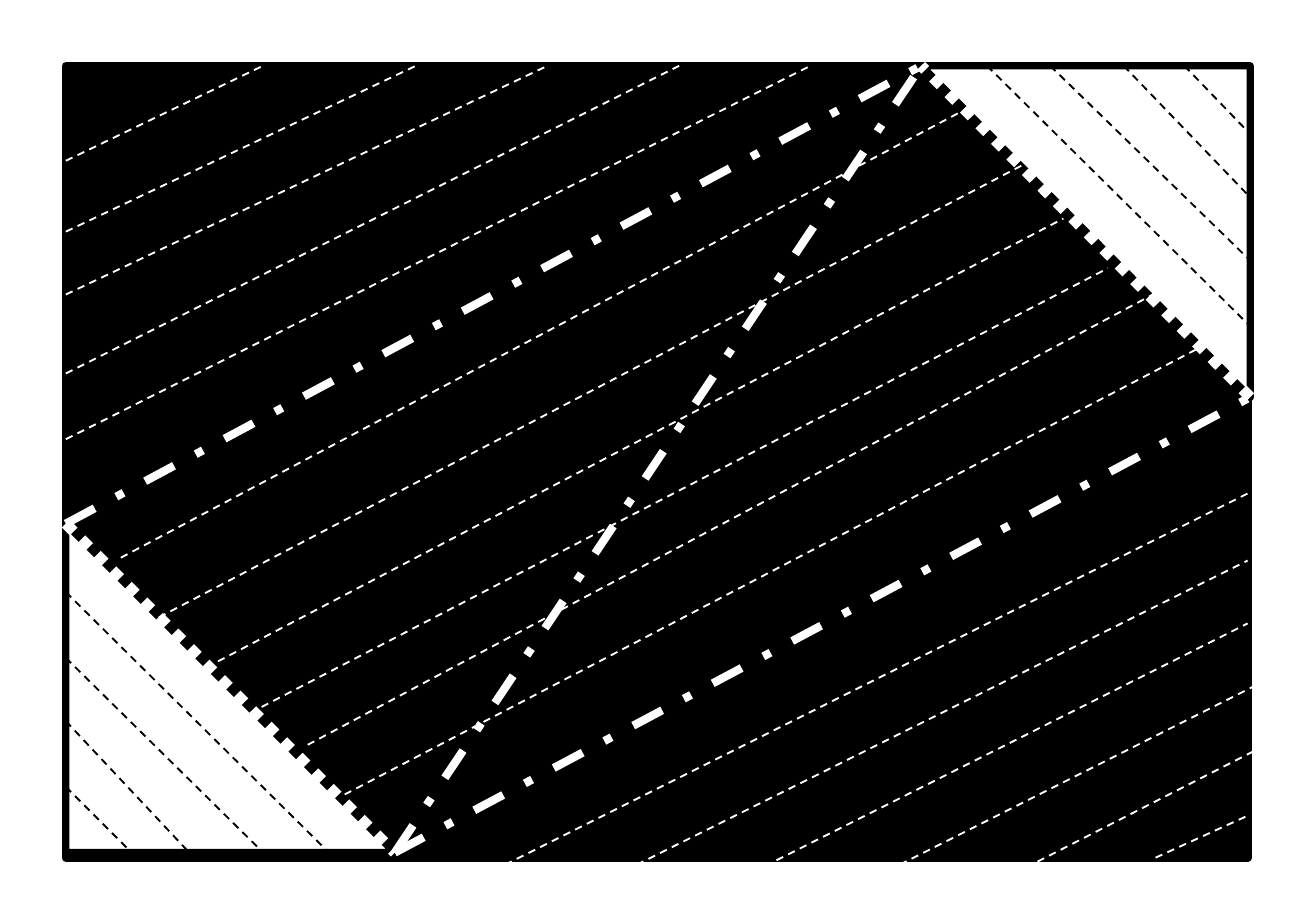
import pptx
import pptx.dml.color
import pptx.enum.dml
import pptx.enum.shapes
import pptx.oxml
import pptx.util

Pt = pptx.util.Pt
SHAPES = pptx.enum.shapes.MSO_SHAPE
DASHES = pptx.enum.dml.MSO_LINE
BLACK = pptx.dml.color.RGBColor(0, 0, 0)
WHITE = pptx.dml.color.RGBColor(255, 255, 255)

PANEL = (18, 18, 323.3, 216.7)
CORNER = 90
TOP, RIGHT = (234, 0), (324, 90.7)
LEFT, BOTTOM = (0, 125.3), (90, 215.3)

UPPER_HATCH = [((0, y), (x, 0)) for y, x in
               [(26, 54), (45.4, 95.8), (62.6, 131.8), (84.2, 167.8), (102.2, 203.8)]]
MIDDLE_HATCH = [
    ((15.1, 134.6), (244.1, 13)),
    ((22.3, 152.6), (264.2, 25.9)),
    ((35.3, 166.3), (272.9, 41.8)),
    ((50.4, 177.1), (285.1, 55.4)),
    ((66.2, 185.8), (297.4, 62.6)),
    ((76.3, 199.4), (311.8, 76.3)),
]
LOWER_HATCH = [
    ((113.8, 221.8), (329.8, 113.8)),
    ((149.8, 221.8), (323.3, 135.4)),
    ((194.4, 217.4), (323.3, 152.6)),
    ((221.8, 221.8), (326.2, 169.2)),
    ((234, 234), (338.4, 180.7)),
    ((298.1, 216.7), (323.3, 205.2)),
]
LEFT_CORNER_HATCH = [((0, y), (x, CORNER)) for y, x in
                     [(18.7, 72), (36.7, 54), (54, 33.8), (72, 18)]]
RIGHT_CORNER_HATCH = [((x, 0), (CORNER, y)) for x, y in
                      [(18, 71.3), (35.3, 53.3), (55.4, 36), (72, 18.7)]]


def add_block(slide, kind, box, fill, line_width):
    block = slide.shapes.add_shape(kind, *map(Pt, box))
    block.shadow.inherit = False
    block.fill.solid()
    block.fill.fore_color.rgb = fill
    block.line.color.rgb = BLACK
    block.line.width = Pt(line_width)
    return block


def add_dashed(slide, box, ends, color, width, dash):
    left, top = box[:2]
    (x1, y1), (x2, y2) = ends
    dashed = slide.shapes.add_connector(
        pptx.enum.shapes.MSO_CONNECTOR.STRAIGHT,
        Pt(left + x1), Pt(top + y1), Pt(left + x2), Pt(top + y2))
    dashed.line.color.rgb = color
    dashed.line.width = Pt(width)
    dashed.line.dash_style = dash
    properties = dashed._element.spPr
    properties.append(properties.makeelement(pptx.oxml.ns.qn("a:effectLst"), {}))


def add_hatch(slide, box, hatch, color):
    for ends in hatch:
        add_dashed(slide, box, ends, color, 0.5, DASHES.DASH)


def build_corner(slide, box, rotation, hatch):
    corner = add_block(slide, SHAPES.RIGHT_TRIANGLE, box, WHITE, 2)
    corner.rotation = rotation
    add_hatch(slide, box, hatch, BLACK)


def build_field(slide, box):
    left, top = box[:2]
    add_block(slide, SHAPES.FLOWCHART_PROCESS, box, BLACK, 2.25)
    build_corner(slide, (left + TOP[0], top, CORNER, RIGHT[1]), 180, RIGHT_CORNER_HATCH)
    build_corner(slide, (left, top + LEFT[1], CORNER, CORNER), 0, LEFT_CORNER_HATCH)
    for edge in [(LEFT, BOTTOM), (RIGHT, TOP)]:
        add_dashed(slide, box, edge, WHITE, 3, DASHES.ROUND_DOT)
    for divider in [(LEFT, TOP), (BOTTOM, RIGHT), (BOTTOM, TOP)]:
        add_dashed(slide, box, divider, WHITE, 2.25, DASHES.DASH_DOT)
    add_hatch(slide, box, UPPER_HATCH + MIDDLE_HATCH + LOWER_HATCH, WHITE)


def main():
    deck = pptx.Presentation()
    deck.slide_width, deck.slide_height = Pt(360), Pt(252)
    slide = deck.slides.add_slide(deck.slide_layouts[6])
    build_field(slide, PANEL)
    deck.save("out.pptx")


if __name__ == "__main__":
    main()
